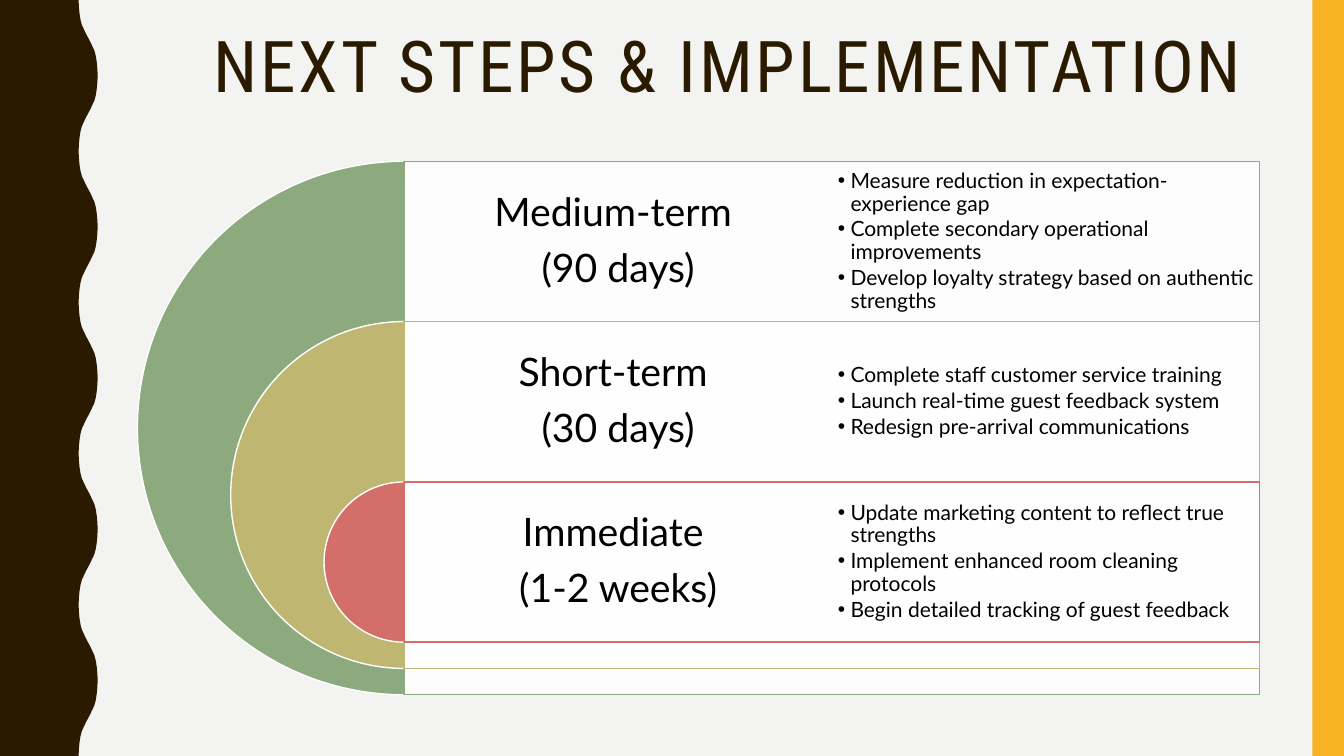
from dataclasses import dataclass

from lxml import etree
from pptx import Presentation
from pptx import util as u
from pptx.dml import color
from pptx.enum import shapes, text
from pptx.oxml import ns

INK = "2A1A00"
WHITE = "FFFFFF"
BLACK = "000000"
GOLD = "F8B323"
PAPER = "F3F3F2"

WIDTH, HEIGHT = 960, 540
AXIS = 288.7
TOP = 115.2
ROW = 114.5
COLUMN = 305.6
DIAMETER_STEP = 133.3
WAVE_HALF = 54
WAVE_MIDDLE = 63
WAVE_QUARTER = [(56.2, 0), (56.4, 5), (56.9, 10), (57.6, 14.4),
                (58.6, 18), (60, 21), (61.4, 24), (WAVE_MIDDLE, 27)]


@dataclass
class Phase:
    heading: tuple[str, str]
    actions: tuple[str, str, str]
    fill: str
    body_index: int


PHASES = [
    Phase(("Medium-term ", "(90 days)"),
          ("Measure reduction in expectation-experience gap",
           "Complete secondary operational improvements",
           "Develop loyalty strategy based on authentic strengths"),
          "8CAA7E", 1),
    Phase(("Short-term ", "(30 days)"),
          ("Complete staff customer service training",
           "Launch real-time guest feedback system",
           "Redesign pre-arrival communications"),
          "BFB672", 2),
    Phase(("Immediate ", "(1-2 weeks)"),
          ("Update marketing content to reflect true strengths",
           "Implement enhanced room cleaning protocols",
           "Begin detailed tracking of guest feedback"),
          "D36F68", 4),
]


def rgb(code: str) -> color.RGBColor:
    return color.RGBColor.from_string(code)


def paint(shape, fill: str, line: str | None = None) -> None:
    shape.shadow.inherit = False
    shape.fill.solid()
    shape.fill.fore_color.rgb = rgb(fill)
    if line:
        shape.line.color.rgb = rgb(line)
        shape.line.width = u.Pt(1)
    else:
        shape.line.fill.background()


def place(shape, left: float, top: float, width: float, height: float) -> None:
    shape.left, shape.top = u.Pt(left), u.Pt(top)
    shape.width, shape.height = u.Pt(width), u.Pt(height)


def add_block(page, kind, left: float, top: float, width: float, height: float):
    return page.shapes.add_shape(kind, u.Pt(left), u.Pt(top), u.Pt(width), u.Pt(height))


def set_frame(frame, inset: float, anchor) -> None:
    frame.word_wrap = True
    frame.auto_size = text.MSO_AUTO_SIZE.NONE
    frame.vertical_anchor = anchor
    frame.margin_left = frame.margin_right = u.Pt(inset)
    frame.margin_top = frame.margin_bottom = u.Pt(inset)


def style(para, size: float, face: str, ink: str, after: float, align) -> None:
    para.alignment = align
    para.line_spacing = 0.9
    para.space_before = u.Pt(0)
    para.space_after = u.Pt(after)
    para.font.size = u.Pt(size)
    para.font.name = face
    para.font.bold = False
    para.font.color.rgb = rgb(ink)


def add_bullet(para) -> None:
    properties = para._p.get_or_add_pPr()
    properties.set("marL", str(u.Pt(9)))
    properties.set("indent", str(u.Pt(-9)))
    etree.SubElement(properties, ns.qn("a:buChar")).set("char", "•")


def add_wave(page) -> None:
    half = WAVE_QUARTER + [(2 * WAVE_MIDDLE - x, WAVE_HALF - y)
                           for x, y in reversed(WAVE_QUARTER[:-1])]
    edge = [(2 * WAVE_MIDDLE - x if turn % 2 else x, turn * WAVE_HALF + y)
            for turn in range(HEIGHT // WAVE_HALF) for x, y in half]
    builder = page.shapes.build_freeform(0, 0)
    builder.add_line_segments([(u.Pt(x), u.Pt(y)) for x, y in edge + [(0, HEIGHT)]])
    paint(builder.convert_to_shape(), INK)


def add_title(page) -> None:
    title = page.shapes.title
    place(title, 119.5, 22.3, 801.4, 85)
    set_frame(title.text_frame, 0, text.MSO_ANCHOR.TOP)
    title.text_frame.text = "NEXT STEPS & IMPLEMENTATION"
    para = title.text_frame.paragraphs[0]
    style(para, 51, "Roboto Condensed", INK, 0, text.PP_ALIGN.CENTER)
    para._p.pPr.find(ns.qn("a:defRPr")).set("spc", "200")


def add_phase(page, phase: Phase, order: int) -> None:
    top = TOP + order * ROW
    diameter = ROW + (len(PHASES) - 1 - order) * DIAMETER_STEP
    pie = add_block(page, shapes.MSO_SHAPE.PIE, AXIS - diameter / 2, top, diameter, diameter)
    pie.adjustments[0], pie.adjustments[1] = 54, 162
    paint(pie, phase.fill, WHITE)

    panel = add_block(page, shapes.MSO_SHAPE.RECTANGLE, AXIS, top, 2 * COLUMN, diameter)
    paint(panel, WHITE, phase.fill)
    shade = panel._element.spPr.find(ns.qn("a:solidFill"))[0]
    etree.SubElement(shade, ns.qn("a:alpha")).set("val", "90000")

    box = page.shapes.add_textbox(u.Pt(AXIS), u.Pt(top), u.Pt(COLUMN), u.Pt(ROW))
    set_frame(box.text_frame, 8.4, text.MSO_ANCHOR.MIDDLE)
    box.text_frame.text = "\n".join(phase.heading)
    for para in box.text_frame.paragraphs:
        style(para, 28, "Lato", BLACK, 9.8, text.PP_ALIGN.CENTER)

    body = page.placeholders[phase.body_index]
    place(body, AXIS + COLUMN, top, COLUMN, ROW)
    set_frame(body.text_frame, 4.2, text.MSO_ANCHOR.MIDDLE)
    body.text_frame.text = "\n".join(phase.actions)
    for para in body.text_frame.paragraphs:
        add_bullet(para)
        style(para, 15, "Lato", BLACK, 2.25, text.PP_ALIGN.LEFT)
    page.shapes._spTree.append(body._element)


def main() -> None:
    deck = Presentation()
    deck.slide_width, deck.slide_height = u.Pt(WIDTH), u.Pt(HEIGHT)
    page = deck.slides.add_slide(deck.slide_layouts.get_by_name("Comparison"))
    page.background.fill.solid()
    page.background.fill.fore_color.rgb = rgb(PAPER)
    spare = page.placeholders[3]._element
    spare.getparent().remove(spare)

    add_wave(page)
    paint(add_block(page, shapes.MSO_SHAPE.RECTANGLE, 937.4, 0, 22.6, HEIGHT), GOLD)
    add_title(page)
    for order, phase in enumerate(PHASES):
        add_phase(page, phase, order)
    deck.save("out.pptx")


if __name__ == "__main__":
    main()
